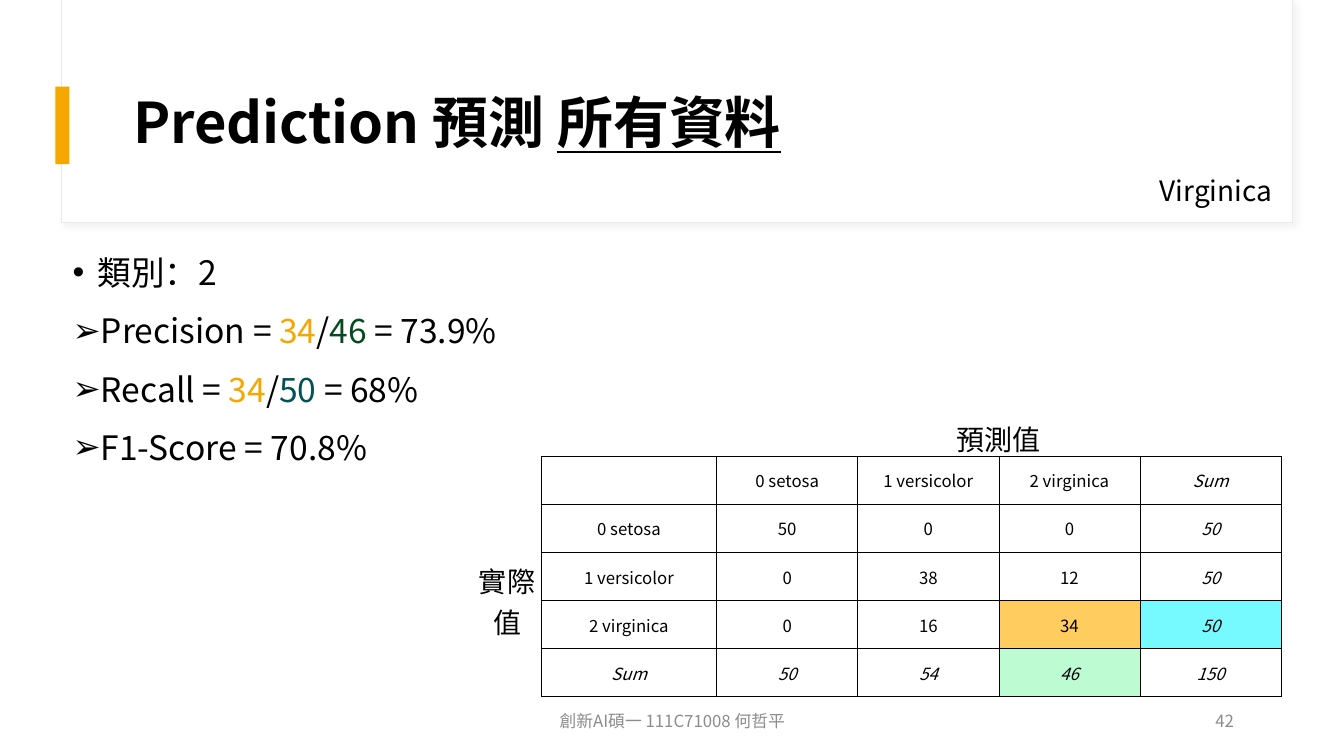
"""Build the slide on prediction scores for the Virginica class."""
from lxml import etree
from pptx import Presentation
from pptx.dml.color import RGBColor
from pptx.enum import shapes, text
from pptx.oxml import ns
from pptx.util import Pt

FONT = "Noto Sans CJK SC"
HUE = {"ink": "000000", "gold": "F5A700", "green": "044B1E", "teal": "005256",
       "gray": "8C8C8C", "white": "FFFFFF", "edge": "E9E9E9", "shade": "D9D9D9",
       "amber": "FFCC60", "cyan": "77FAFF", "mint": "BDFBD3"}
TITLE = [("Prediction 預測 ", {}), ("所有資料", {"underline": True})]
BODY = [
    ("•", [("類別：2", "ink")]),
    ("➢", [("Precision = ", "ink"), ("34", "gold"), ("/", "ink"), ("46", "green"), (" = 73.9%", "ink")]),
    ("➢", [("Recall = ", "ink"), ("34", "gold"), ("/", "ink"), ("50", "teal"), (" = 68%", "ink")]),
    ("➢", [("F1-Score = 70.8%", "ink")]),
]
PANELS = [((43.92, 0, 879.12, 159.12), "white", "edge"),
          ((44.64, 0, 878.4, 158.4), "white", None),
          ((39.6, 61.92, 10.08, 55.44), "gold", None)]
LABELS = [
    ("Virginica", (774.72, 120.24, 141.12, 31.68), 20, "ink", "RIGHT", "TOP"),
    ("42", (672.48, 500.4, 216, 28.8), 12, "gray", "RIGHT", "MIDDLE"),
    ("創新AI碩一 111C71008 何哲平", (318.24, 500.4, 324, 28.8), 12, "gray", "CENTER", "MIDDLE"),
]
GRID = [
    ["", "", "預測值", "", "", ""],
    ["", "", "0 setosa", "1 versicolor", "2 virginica", "Sum"],
    ["實際值", "0 setosa", "50", "0", "0", "50"],
    ["", "1 versicolor", "0", "38", "12", "50"],
    ["", "2 virginica", "0", "16", "34", "50"],
    ["", "Sum", "50", "54", "46", "150"],
]
FILLS = {(4, 4): "amber", (4, 5): "cyan", (5, 4): "mint"}
COLS = [48.96, 125.28] + [100.8] * 4
ROWS = [28.08] + [34.4] * 5


def tint(name):
    return RGBColor.from_string(HUE[name])


def add(node, tag, **attrs):
    return etree.SubElement(node, ns.qn(tag), attrs)


def write(para, words, size, hue="ink", **marks):
    run = para.add_run()
    run.text = words
    for key, val in {"name": FONT, "size": Pt(size), **marks}.items():
        setattr(run.font, key, val)
    run.font.color.rgb = tint(hue)
    add(run.font._element, "a:ea", typeface=FONT)


def place(shape, box):
    for key, val in zip(("left", "top", "width", "height"), box):
        setattr(shape, key, Pt(val))


def panel(slide, box, fill, line):
    shape = slide.shapes.add_shape(shapes.MSO_SHAPE.RECTANGLE, *map(Pt, box))
    shape.shadow.inherit = False
    shape.fill.solid()
    shape.fill.fore_color.rgb = tint(fill)
    if line:
        shape.line.color.rgb = tint(line)
        shape.line.width = Pt(0.75)
        glow = shape._element.spPr.find(ns.qn("a:effectLst"))
        cast = add(glow, "a:outerShdw", blurRad=str(Pt(4)), dist=str(Pt(3)),
                   dir="2700000", algn="tl", rotWithShape="0")
        add(add(cast, "a:srgbClr", val=HUE["shade"]), "a:alpha", val="30000")
    else:
        shape.line.fill.background()
    slide.shapes.title._element.addprevious(shape._element)


def bullet(para, mark):
    props = para._p.get_or_add_pPr()
    props.set("marL", str(Pt(18)))
    props.set("indent", str(-Pt(18)))
    add(props, "a:buFont", typeface="Arial")
    add(props, "a:buChar", char=mark)


def border(cell, row, col):
    props = cell._tc.get_or_add_tcPr()
    inner = row > 0 and col > 0
    shown = {"L": inner, "R": row > 0, "T": inner, "B": col > 0}
    for side, seen in shown.items():
        line = add(props, "a:ln" + side, w=str(Pt(0.5)))
        if seen:
            add(add(line, "a:solidFill"), "a:srgbClr", val=HUE["ink"])
        else:
            add(line, "a:noFill")


def matrix(slide):
    frame = slide.shapes.add_table(len(ROWS), len(COLS), Pt(337.68), Pt(297.6),
                                   Pt(sum(COLS)), Pt(sum(ROWS)))
    table = frame.table
    table.first_row = table.horz_banding = False
    for part, size in zip(table.columns, COLS):
        part.width = Pt(size)
    for part, size in zip(table.rows, ROWS):
        part.height = Pt(size)
    table.cell(0, 2).merge(table.cell(0, 5))
    table.cell(2, 0).merge(table.cell(5, 0))
    for row, line in enumerate(GRID):
        for col, words in enumerate(line):
            cell = table.cell(row, col)
            for side, gap in {"left": 0.72, "right": 0.72, "top": 0.72, "bottom": 0}.items():
                setattr(cell, "margin_" + side, Pt(gap))
            cell.vertical_anchor = text.MSO_ANCHOR.MIDDLE
            border(cell, row, col)
            if (row, col) in FILLS:
                cell.fill.solid()
                cell.fill.fore_color.rgb = tint(FILLS[row, col])
            else:
                cell.fill.background()
            if words:
                para = cell.text_frame.paragraphs[0]
                para.alignment = text.PP_ALIGN.CENTER
                head = row == 0 or col == 0
                write(para, words, 20 if head else 12, italic=row == 5 or col == 5)
    table.cell(2, 0)._tc.get_or_add_tcPr().set("vert", "eaVert")


def main():
    deck = Presentation()
    deck.slide_width, deck.slide_height = Pt(960), Pt(540)
    slide = deck.slides.add_slide(deck.slide_layouts[1])
    for item in PANELS:
        panel(slide, *item)

    title, body = slide.placeholders
    place(title, (87.84, 43.2, 800.64, 92.88))
    title.text_frame.vertical_anchor = text.MSO_ANCHOR.MIDDLE
    para = title.text_frame.paragraphs[0]
    para.alignment, para.line_spacing = text.PP_ALIGN.LEFT, 0.9
    for words, marks in TITLE:
        write(para, words, 40, bold=True, **marks)

    place(body, (44.64, 173.52, 800.64, 290.88))
    frame = body.text_frame
    for i, (mark, runs) in enumerate(BODY):
        para = frame.add_paragraph() if i else frame.paragraphs[0]
        para.line_spacing, para.space_before = 1.1, Pt(10)
        bullet(para, mark)
        for words, hue in runs:
            write(para, words, 24, hue)

    for words, box, size, hue, side, anchor in LABELS:
        frame = slide.shapes.add_textbox(*map(Pt, box)).text_frame
        frame.word_wrap = True
        frame.vertical_anchor = getattr(text.MSO_ANCHOR, anchor)
        para = frame.paragraphs[0]
        para.alignment = getattr(text.PP_ALIGN, side)
        write(para, words, size, hue)
    matrix(slide)
    deck.save("out.pptx")


if __name__ == "__main__":
    main()
